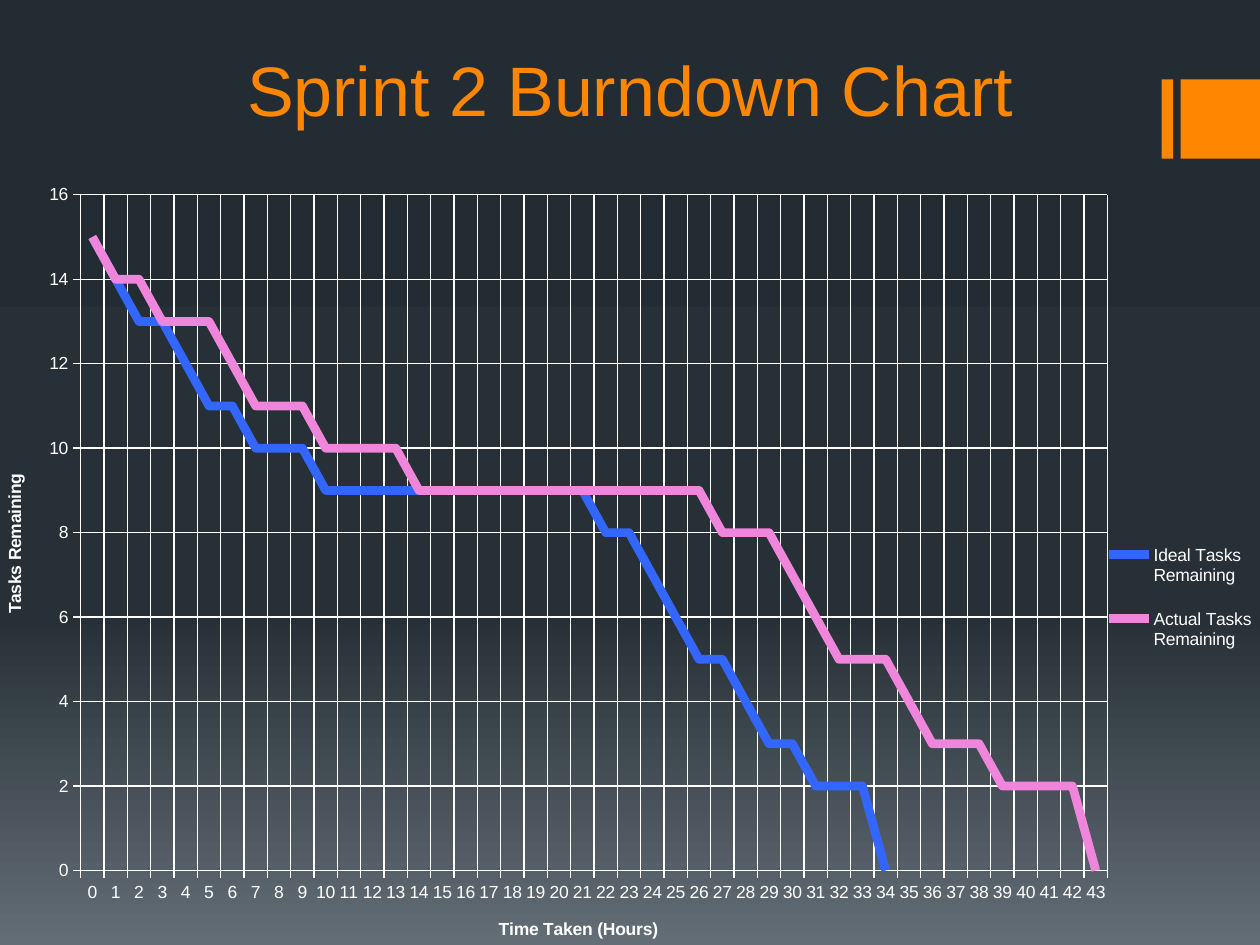
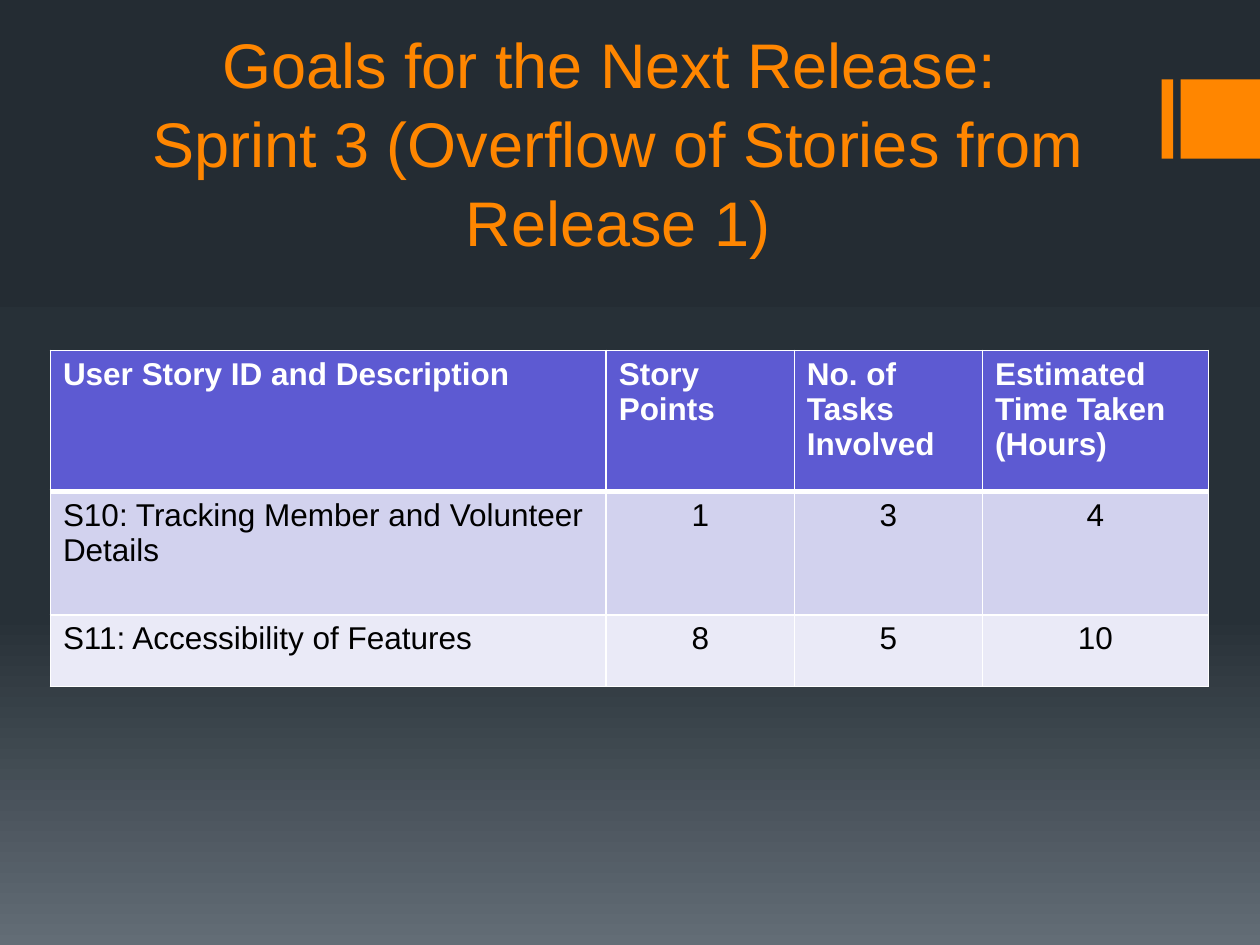
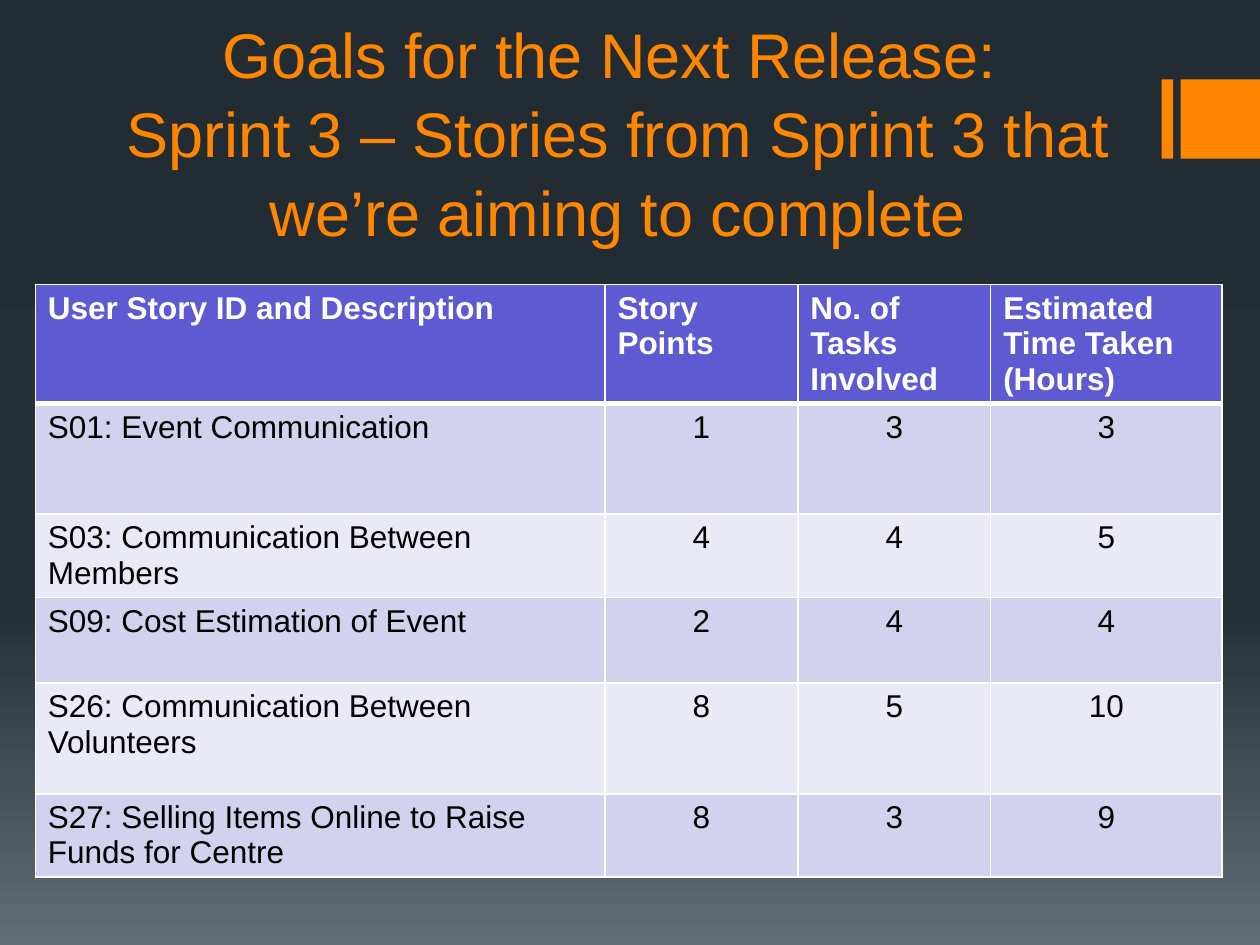
"""Build three sprint-report slides: a burndown chart and two tables of release goals."""
from dataclasses import dataclass

from pptx import Presentation
from pptx.chart.data import CategoryChartData
from pptx.dml.color import RGBColor
from pptx.enum.chart import XL_CHART_TYPE, XL_LEGEND_POSITION, XL_TICK_MARK
from pptx.enum.shapes import MSO_SHAPE
from pptx.enum.text import MSO_ANCHOR, MSO_AUTO_SIZE, PP_ALIGN
from pptx.oxml import parse_xml
from pptx.oxml.ns import nsdecls, qn
from pptx.util import Inches, Pt


@dataclass(frozen=True)
class Theme:
    font: str = "Arial"
    accent: str = "FF8600"
    light: str = "FFFFFF"
    dark: str = "000000"
    header: str = "5D5AD2"
    bands: tuple = ("D2D2EE", "EAEAF7")
    series: tuple = ("3366FF", "EF86DB")
    backdrop: tuple = ((0, "242C33"), (65, "273037"), (100, "636D76"))
    chart_size: int = 10
    table_size: int = 18
    title_size: int = 36
    chart_title_size: int = 40
    grid_line: float = 0.75
    series_line: float = 5
    cell_line: int = 1
    header_line: int = 3


def style_font(font, size, color, bold=False):
    font.name = theme.font
    font.size = Pt(size)
    font.bold = bold
    font.color.rgb = RGBColor.from_string(color)


def grid(*cells):
    return [round(cell * unit) for cell in cells]


theme = Theme()
presentation = Presentation()
presentation.slide_width = Inches(10)
presentation.slide_height = Inches(7.5)
unit = presentation.slide_width / 100
master = presentation.slide_master

background = master.background.fill
background.gradient()
background.gradient_angle = 270
stops = master.element.xpath(".//p:bg//a:gsLst")[0]
for stop in list(stops):
    stops.remove(stop)
for position, color in theme.backdrop:
    stops.append(parse_xml(
        f'<a:gs {nsdecls("a")} pos="{position * 1000}"><a:srgbClr val="{color}"/></a:gs>'))

titles = [
    ("Sprint 2 Burndown Chart", theme.chart_title_size, (10, 2.8, 80, 8.1)),
    ("Goals for the Next Release: \vSprint 3 (Overflow of Stories from Release 1)",
     theme.title_size, (8.1, 2.4, 81.9, 18.7)),
    ("Goals for the Next Release: \vSprint 3 – Stories from Sprint 3 that we’re aiming to complete",
     theme.title_size, (8.1, 1.6, 81.9, 18.7)),
]
slides = []
for text, size, place in titles:
    slide = presentation.slides.add_slide(presentation.slide_layouts[5])
    title = slide.shapes.title
    title.left, title.top, title.width, title.height = grid(*place)
    frame = title.text_frame
    frame.text = text
    frame.auto_size = MSO_AUTO_SIZE.NONE
    frame.vertical_anchor = MSO_ANCHOR.BOTTOM
    paragraph = frame.paragraphs[0]
    paragraph.alignment = PP_ALIGN.CENTER
    paragraph.line_spacing = 1.05
    style_font(paragraph.font, size, theme.accent)
    slides.append(slide)

burndown_slide, overflow_slide, sprint_slide = slides

for left, width in ((92.2, 0.9), (93.7, 6.3)):
    bar = burndown_slide.shapes.add_shape(MSO_SHAPE.RECTANGLE, *grid(left, 6.3, width, 6.3))
    bar.shadow.inherit = False
    bar.fill.solid()
    bar.fill.fore_color.rgb = RGBColor.from_string(theme.accent)
    bar.line.fill.background()
    master.shapes.element.append(bar.element)

burndown = {
    "Ideal Tasks Remaining": [
        15, 14, 13, 13, 12, 11, 11, 10, 10, 10, *[9] * 12, 8, 8, 7, 6, 5, 5, 4, 3, 3, 2, 2, 2, 0],
    "Actual Tasks Remaining": [
        15, 14, 14, 13, 13, 13, 12, 11, 11, 11, *[10] * 4, *[9] * 13, 8, 8, 8, 7, 6,
        5, 5, 5, 4, 3, 3, 3, 2, 2, 2, 2, 0],
}
chart_data = CategoryChartData()
chart_data.categories = range(44)
for name, values in burndown.items():
    chart_data.add_series(name, values)
chart = burndown_slide.shapes.add_chart(
    XL_CHART_TYPE.LINE, *grid(0, 11.6, 100, 63.4), chart_data).chart
chart.has_title = False
style_font(chart.font, theme.chart_size, theme.light)
chart.plots[0].vary_by_categories = False

for series, color in zip(chart.plots[0].series, theme.series):
    series.smooth = False
    series.format.line.width = Pt(theme.series_line)
    series.format.line.color.rgb = RGBColor.from_string(color)

for axis, caption in ((chart.category_axis, "Time Taken (Hours)"),
                      (chart.value_axis, "Tasks Remaining")):
    axis.has_major_gridlines = True
    axis.major_tick_mark = XL_TICK_MARK.OUTSIDE
    for line in (axis.format.line, axis.major_gridlines.format.line):
        line.width = Pt(theme.grid_line)
        line.color.rgb = RGBColor.from_string(theme.light)
    axis.axis_title.text_frame.text = caption
    style_font(axis.axis_title.text_frame.paragraphs[0].font,
               theme.chart_size, theme.light, bold=True)
chart.value_axis.minimum_scale = 0
chart.value_axis.maximum_scale = 16
chart.value_axis.major_unit = 2

chart.has_legend = True
chart.legend.position = XL_LEGEND_POSITION.RIGHT
chart.legend.include_in_layout = False
plot_area = chart.element.find(".//" + qn("c:plotArea"))
legend = chart.element.find(".//" + qn("c:legend"))
for area, index, target, shares in (
        (plot_area, 0, '<c:layoutTarget val="inner"/>', (0.064, 0.061, 0.815, 0.846)),
        (legend, 1, "", (0.88, 0.47, 0.12, 0.19))):
    for layout in area.findall(qn("c:layout")):
        area.remove(layout)
    modes = "".join(f'<c:{side}Mode val="edge"/>' for side in "xy")
    sizes = "".join(f'<c:{side} val="{share}"/>' for side, share in zip("xywh", shares))
    area.insert(index, parse_xml(
        f'<c:layout {nsdecls("c")}><c:manualLayout>{target}{modes}{sizes}'
        '</c:manualLayout></c:layout>'))

headings = ("User Story ID and Description", "Story Points",
            "No. of Tasks Involved", "Estimated Time Taken (Hours)")
column_shares = (0.48, 0.1625, 0.1625, 0.195)
goal_tables = [
    (overflow_slide, (4, 27.8, 91.9), (11.2, 9.8, 5.7), [
        ("S10: Tracking Member and Volunteer Details", 1, 3, 4),
        ("S11: Accessibility of Features", 8, 5, 10),
    ]),
    (sprint_slide, (2.8, 22.6, 94.2), (8.8, 8.8, 5.1, 6.8, 8.8, 5.1), [
        ("S01: Event Communication", 1, 3, 3),
        ("S03: Communication Between Members", 4, 4, 5),
        ("S09: Cost Estimation of Event", 2, 4, 4),
        ("S26: Communication Between Volunteers", 8, 5, 10),
        ("S27: Selling Items Online to Raise Funds for Centre", 8, 3, 9),
    ]),
]
for slide, place, heights, stories in goal_tables:
    table = slide.shapes.add_table(
        len(heights), len(headings), *grid(*place, sum(heights))).table
    for column, share in zip(table.columns, column_shares):
        column.width = round(place[2] * unit * share)
    for row_index, (height, values) in enumerate(zip(heights, [headings, *stories])):
        table.rows[row_index].height = round(height * unit)
        is_header = row_index == 0
        fill = theme.header if is_header else theme.bands[(row_index - 1) % 2]
        for column_index, value in enumerate(values):
            cell = table.cell(row_index, column_index)
            cell.text = str(value)
            cell.fill.solid()
            cell.fill.fore_color.rgb = RGBColor.from_string(fill)
            paragraph = cell.text_frame.paragraphs[0]
            style_font(paragraph.font, theme.table_size,
                       theme.light if is_header else theme.dark, bold=is_header)
            if not is_header and column_index > 0:
                paragraph.alignment = PP_ALIGN.CENTER
            properties = cell._tc.get_or_add_tcPr()
            for index, side in enumerate("LRTB"):
                below_header = (row_index, side) in ((0, "B"), (1, "T"))
                width = Pt(theme.header_line if below_header else theme.cell_line)
                properties.insert(index, parse_xml(
                    f'<a:ln{side} {nsdecls("a")} w="{width}"><a:solidFill>'
                    f'<a:srgbClr val="{theme.light}"/></a:solidFill></a:ln{side}>'))

presentation.save("out.pptx")
